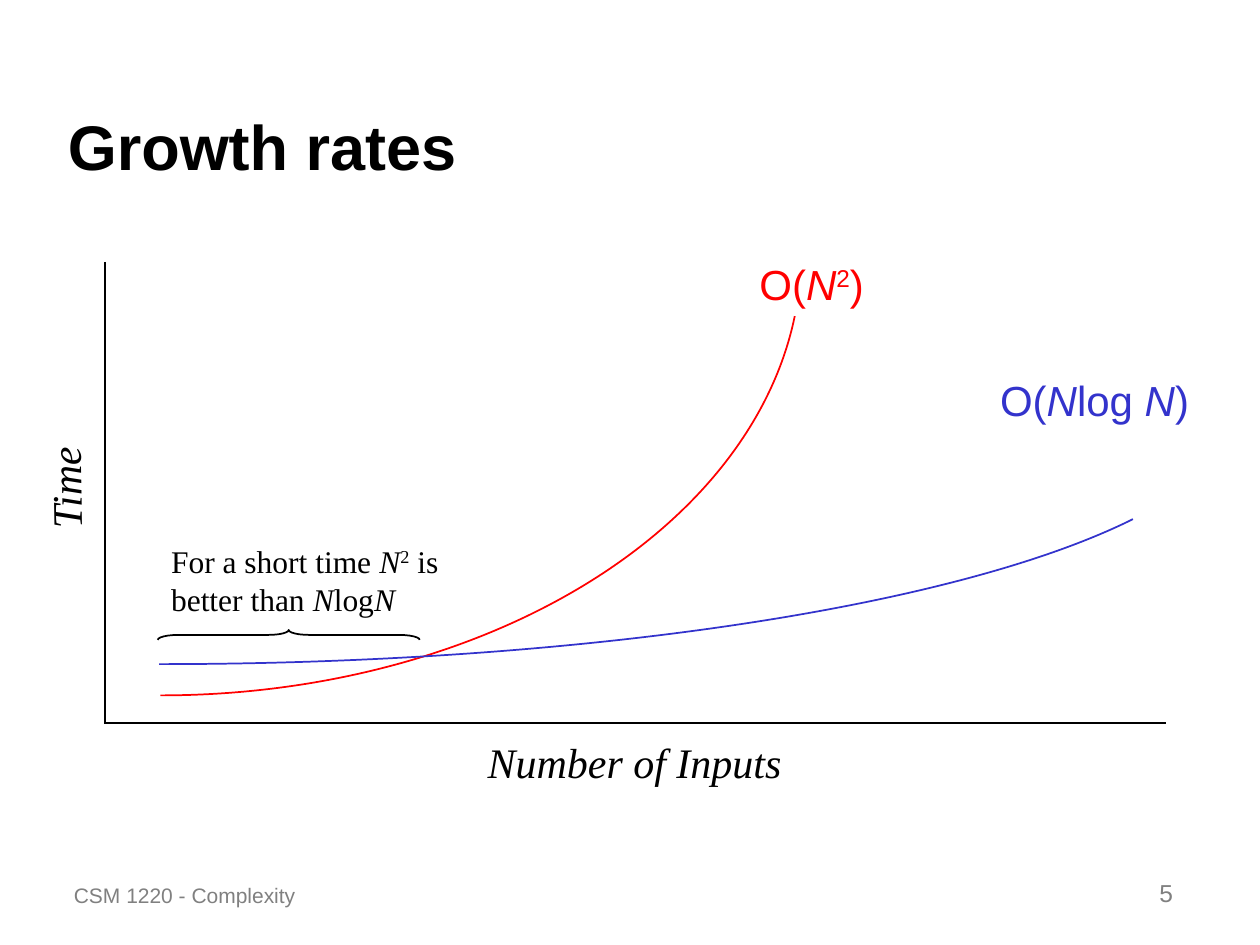
from lxml import etree
from pptx import Presentation
from pptx.dml.color import RGBColor
from pptx.enum.shapes import MSO_CONNECTOR, MSO_SHAPE
from pptx.enum.text import MSO_ANCHOR, MSO_AUTO_SIZE, PP_ALIGN
from pptx.oxml.ns import qn
from pptx.util import Cm, Pt

STRAIGHT = MSO_CONNECTOR.STRAIGHT
ARC, LEFT_BRACE = MSO_SHAPE.ARC, MSO_SHAPE.LEFT_BRACE
TOP, BOTTOM = MSO_ANCHOR.TOP, MSO_ANCHOR.BOTTOM
LEFT, RIGHT = PP_ALIGN.LEFT, PP_ALIGN.RIGHT
FIT_SHAPE, FIXED = MSO_AUTO_SIZE.SHAPE_TO_FIT_TEXT, MSO_AUTO_SIZE.NONE

BLACK = RGBColor(0x00, 0x00, 0x00)
RED = RGBColor(0xFF, 0x00, 0x00)
BLUE = RGBColor(0x33, 0x33, 0xCC)
GRAY = RGBColor(0x80, 0x80, 0x80)

SANS, SERIF = "Arial", "Times New Roman"
ADJUSTMENT_PER_DEGREE = 0.6

TITLE = {"name": SANS, "size": Pt(36), "bold": True}
AXIS_NAME = {"name": SERIF, "size": Pt(24), "italic": True}
CURVE_NAME = {"name": SANS, "size": Pt(24)}
NOTE = {"name": SERIF, "size": Pt(18)}
FOOTER = {"name": SANS, "size": Pt(12)}
PAGE_NUMBER = {"name": SANS, "size": Pt(14)}

VARIABLE = ("N", {"italic": True})
SQUARED = ("2", {"baseline": "30000"})


class SlideBuilder:
    def __init__(self, slide, line_width=Pt(1)):
        self.slide = slide
        self.line_width = line_width

    def stroke(self, shape, color):
        shape.line.color.rgb = color
        shape.line.width = self.line_width

    def text(self, box, paragraphs, style, color=BLACK, wrap=False,
             anchor=TOP, align=LEFT, space_before=0, rotation=0):
        shape = self.slide.shapes.add_textbox(*map(Cm, box))
        shape.rotation = rotation
        frame = shape.text_frame
        frame_format = {"word_wrap": wrap, "vertical_anchor": anchor,
                        "auto_size": FIXED if wrap else FIT_SHAPE}
        for name, value in frame_format.items():
            setattr(frame, name, value)
        for index, parts in enumerate(paragraphs):
            paragraph = frame.add_paragraph() if index else frame.paragraphs[0]
            paragraph.alignment = align
            paragraph.space_before = Pt(space_before)
            for part in parts:
                self.run(paragraph, part, style, color)

    def run(self, paragraph, part, style, color):
        words, extra = (part, {}) if isinstance(part, str) else part
        run = paragraph.add_run()
        run.text = words
        run.font.color.rgb = color
        for name, value in {**style, **extra}.items():
            if name == "baseline":
                run._r.get_or_add_rPr().set(name, value)
            else:
                setattr(run.font, name, value)

    def axis(self, start, end):
        connector = self.slide.shapes.add_connector(
            STRAIGHT, *map(Cm, start + end))
        self.stroke(connector, BLACK)
        etree.SubElement(connector._element.spPr, qn("a:effectLst"))

    def outline(self, kind, box, adjustments, color=BLACK, rotation=0):
        shape = self.slide.shapes.add_shape(kind, *map(Cm, box))
        shape.shadow.inherit = False
        shape.fill.background()
        shape.rotation = rotation
        self.stroke(shape, color)
        for index, value in enumerate(adjustments):
            shape.adjustments[index] = value

    def curve(self, box, start_angle, color):
        angles = [angle * ADJUSTMENT_PER_DEGREE for angle in (start_angle, 90)]
        self.outline(ARC, box, angles, color)


def main():
    presentation = Presentation()
    presentation.slide_width, presentation.slide_height = Cm(25.4), Cm(19.05)
    slide = presentation.slides.add_slide(presentation.slide_layouts[6])
    builder = SlideBuilder(slide)

    builder.text((1.12, 0.64, 21.39, 3.18), [["Growth rates"]], TITLE,
                 wrap=True, anchor=BOTTOM)

    builder.axis((2.11, 5.28), (2.11, 14.6))
    builder.axis((2.13, 14.58), (23.5, 14.58))
    builder.curve((-9.68, -3.76, 25.83, 17.78), 5.56, RED)
    builder.curve((-18.47, 3.23, 43.36, 10.16), 6.27, BLUE)

    builder.text((9.58, 14.73, 6.45, 1.27), [["Number of Inputs"]], AXIS_NAME)
    builder.text((0.2, 9.17, 2.21, 1.27), [["Time"]], AXIS_NAME, rotation=269)
    builder.text((15.06, 5.08, 2.62, 1.27), [["O(", VARIABLE, SQUARED, ")"]],
                 CURVE_NAME, RED)
    builder.text((19.91, 7.42, 4.32, 1.27),
                 [["O(", VARIABLE, "log ", VARIABLE, ")"]], CURVE_NAME, BLUE)

    builder.outline(LEFT_BRACE, (5.72, 10.16, 0.2, 5.28), [2.08], rotation=90)
    builder.text((3.2, 10.8, 5.89, 1.78),
                 [["For a short time ", VARIABLE, SQUARED, " is"],
                  ["better than ", VARIABLE, "log", VARIABLE]], NOTE)

    builder.text((1.24, 17.15, 7.62, 1.27), [["CSM 1220 - Complexity"]],
                 FOOTER, GRAY, wrap=True, anchor=BOTTOM, space_before=7.5)
    builder.text((18.62, 17.15, 5.28, 1.27), [["5"]], PAGE_NUMBER, GRAY,
                 wrap=True, anchor=BOTTOM, align=RIGHT, space_before=8.8)

    presentation.save("out.pptx")


if __name__ == "__main__":
    main()
